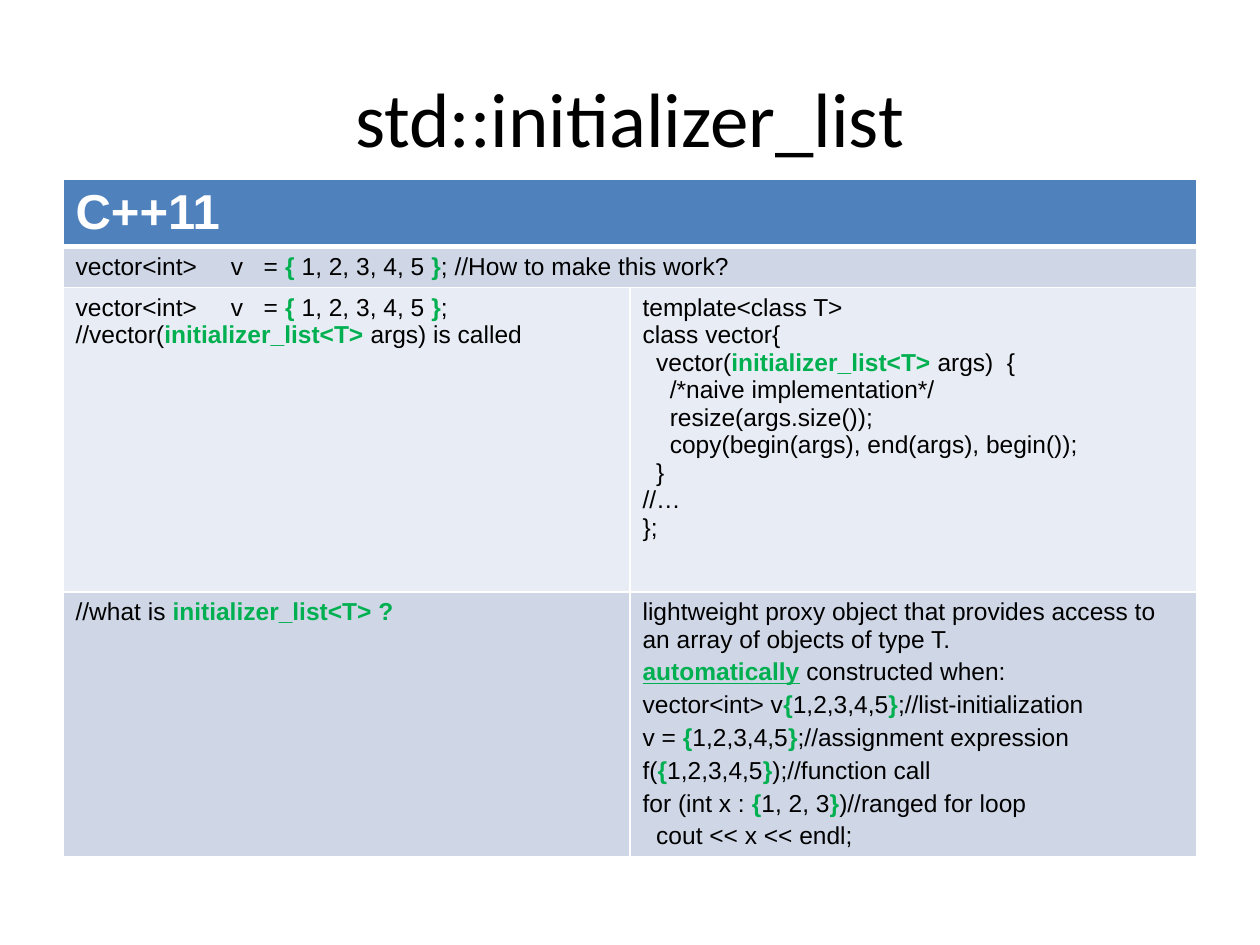
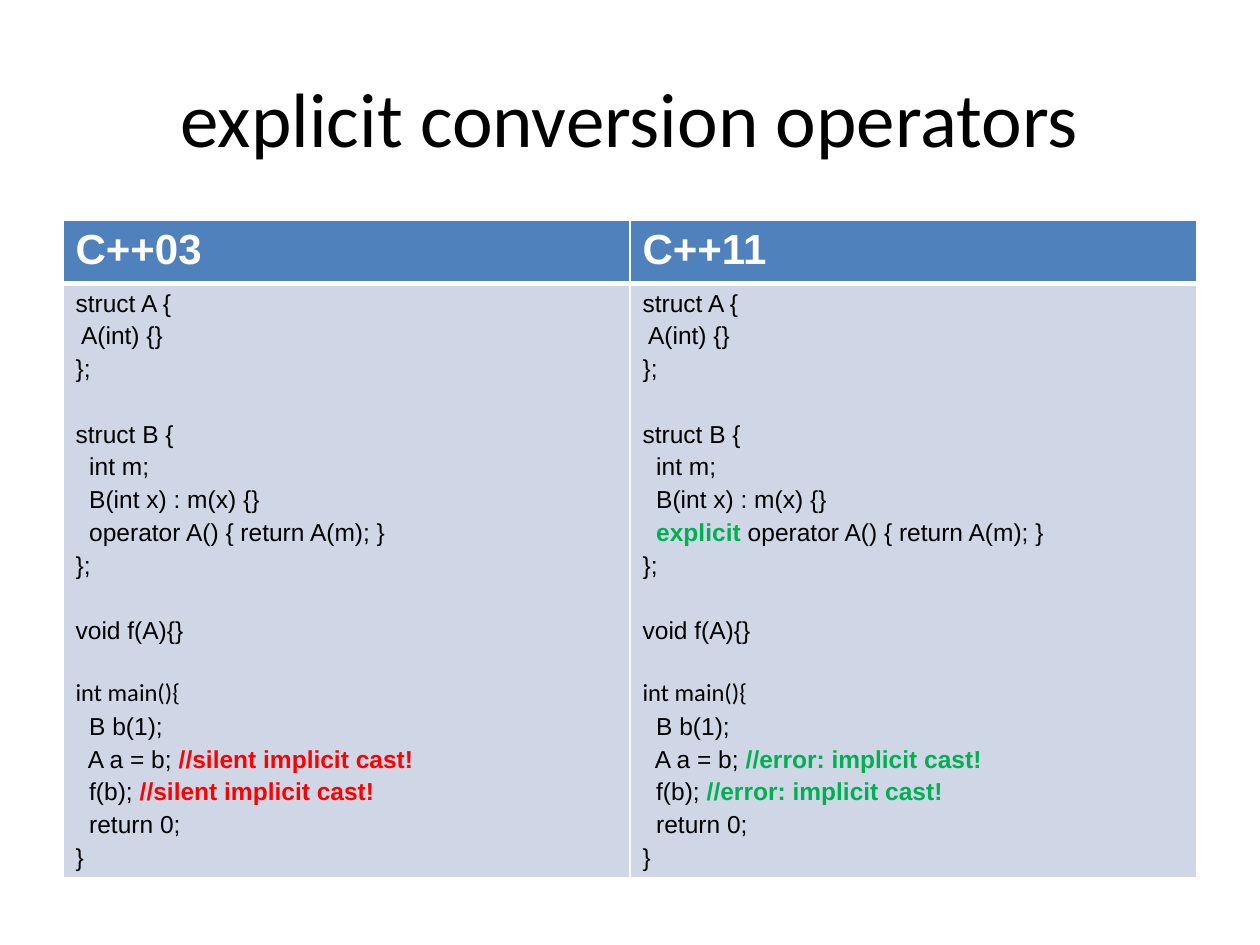
from dataclasses import dataclass

from lxml.etree import SubElement
from pptx import Presentation
from pptx.dml.color import RGBColor
from pptx.enum.text import MSO_ANCHOR as Anchor, PP_ALIGN as Align
from pptx.oxml.ns import qn
from pptx.util import Pt

# Shared style
BLACK = RGBColor(0x00, 0x00, 0x00)
WHITE = RGBColor(0xFF, 0xFF, 0xFF)
GREEN = RGBColor(0x00, 0xB0, 0x50)
RED = RGBColor(0xFF, 0x00, 0x00)
HEADER = RGBColor(0x4F, 0x81, 0xBD)
DARK_BAND = RGBColor(0xCF, 0xD7, 0xE7)
LIGHT_BAND = RGBColor(0xE8, 0xEC, 0xF4)
TITLE_FONT, CODE_FONT = "Calibri", "Arial"
CODE_SIZE = 14
LINE_HEIGHT = 15.7
LIST_GAP = 3
LEFT, WIDTH = 36, 648
TITLE_TOP, TITLE_HEIGHT = 21.6, 90


@dataclass
class Span:
    text: str
    color: RGBColor = BLACK
    bold: bool = False
    underline: bool = False
    font: str = CODE_FONT
    size: float = CODE_SIZE


def key(text, color=GREEN, underline=False):
    return Span(text, color, True, underline)


def header(text, size):
    return [[Span(text, WHITE, True, size=size)]]


def braced(before, values, after):
    return [before, key("{"), values, key("}"), after]


class Deck:
    def __init__(self):
        self.show = Presentation()
        self.show.slide_width, self.show.slide_height = Pt(720), Pt(540)
        self.page = None

    def add_page(self, title):
        self.page = self.show.slides.add_slide(self.show.slide_layouts[5])
        box = self.page.shapes.title
        box.left, box.top = Pt(LEFT), Pt(TITLE_TOP)
        box.width, box.height = Pt(WIDTH), Pt(TITLE_HEIGHT)
        frame = box.text_frame
        frame.text = title
        frame.vertical_anchor = Anchor.MIDDLE
        para = frame.paragraphs[0]
        para.alignment = Align.CENTER
        self.style_run(para.runs[0], Span(title, font=TITLE_FONT, size=44))

    def style_run(self, run, span):
        font = run.font
        font.name, font.size = span.font, Pt(span.size)
        font.bold, font.underline = span.bold, span.underline
        font.color.rgb = span.color

    def add_table(self, top, row_heights):
        columns = 2
        frame = self.page.shapes.add_table(
            len(row_heights), columns, Pt(LEFT), Pt(top), Pt(WIDTH), Pt(sum(row_heights)))
        table = frame.table
        for column in table.columns:
            column.width = Pt(WIDTH / columns)
        for index, height in enumerate(row_heights):
            table.rows[index].height = Pt(height)
            if index == 0:
                fill = HEADER
            else:
                fill = DARK_BAND if index % 2 else LIGHT_BAND
            for cell in table.rows[index].cells:
                self.add_borders(cell, top=3 if index == 1 else 1, bottom=3 if index == 0 else 1)
                cell.fill.solid()
                cell.fill.fore_color.rgb = fill
        return table

    def add_borders(self, cell, top, bottom):
        props = cell._tc.get_or_add_tcPr()
        for side, width in (("L", 1), ("R", 1), ("T", top), ("B", bottom)):
            line = SubElement(props, qn(f"a:ln{side}"), w=str(Pt(width)))
            SubElement(SubElement(line, qn("a:solidFill")), qn("a:srgbClr"), val=str(WHITE))

    def fill_cell(self, cell, lines, gap=0):
        """Fill a cell; an empty line becomes space before the next one."""
        frame = cell.text_frame
        frame.word_wrap = True
        para, skipped = None, 0
        for line in lines:
            if not line:
                skipped += LINE_HEIGHT + gap
                continue
            spans = [Span(part) if isinstance(part, str) else part for part in line]
            if para is None:
                para = frame.paragraphs[0]
            else:
                para = frame.add_paragraph()
                own_gap = gap if spans[0].font == CODE_FONT else 0
                para.space_before = Pt(skipped + own_gap)
            skipped = 0
            for span in spans:
                run = para.add_run()
                run.text = span.text
                self.style_run(run, span)

    def save(self):
        self.show.save("out.pptx")


def initializer_list_page(deck):
    deck.add_page("std::initializer_list")
    table = deck.add_table(102.4, [37.5, 23.5, 174, 150])
    for row in (0, 1):
        table.cell(row, 0).merge(table.cell(row, 1))
    declaration = ("vector<int>     v   = ", " 1, 2, 3, 4, 5 ")
    list_type = key("initializer_list<T>")

    # Question and the constructor that answers it
    deck.fill_cell(table.cell(0, 0), header("C++11", 28))
    deck.fill_cell(table.cell(1, 0), [braced(*declaration, "; //How to make this work?")])
    deck.fill_cell(table.cell(2, 0), [
        braced(*declaration, "; //vector(") + [list_type, " args) is called"]])
    deck.fill_cell(table.cell(2, 1), [
        ["template<class T>"],
        ["class vector{"],
        ["  vector(", list_type, " args)  {"],
        ["    /*naive implementation*/"],
        ["    resize(args.size());"],
        ["    copy(begin(args), end(args), begin());"],
        ["  }"],
        ["//…"],
        ["};"],
    ])

    # Definition and uses
    deck.fill_cell(table.cell(3, 0), [["//what is ", key("initializer_list<T> ?")]])
    values = "1,2,3,4,5"
    deck.fill_cell(table.cell(3, 1), [
        ["lightweight proxy object that provides access to an array of objects of type T."],
        [key("automatically", underline=True), " constructed when:"],
        braced("vector<int> v", values, ";//list-initialization"),
        braced("v = ", values, ";//assignment expression"),
        braced("f(", values, ");//function call"),
        braced("for (int x : ", "1, 2, 3", ")//ranged for loop"),
        ["  cout << x << endl;"],
    ], LIST_GAP)


def conversion_code(operator_line, note):
    return [
        ["struct A {"],
        [" A(int) {}"],
        ["};"],
        [],
        ["struct B {"],
        ["  int m;"],
        ["  B(int x) : m(x) {}"],
        operator_line,
        ["};"],
        [],
        ["void f(A){}"],
        [],
        [Span("int main(){", font=TITLE_FONT)],
        ["  B b(1);"],
        ["  A a = b; ", note],
        ["  f(b); ", note],
        ["  return 0;"],
        ["}"],
    ]


def conversion_page(deck):
    deck.add_page("explicit conversion operators")
    table = deck.add_table(126, [36, 338])
    cast = "operator A() { return A(m); }"
    versions = [
        ("C++03", ["  " + cast], key("//silent implicit cast!", RED)),
        ("C++11", ["  ", key("explicit"), " " + cast], key("//error: implicit cast!")),
    ]
    for column, (name, operator_line, note) in enumerate(versions):
        deck.fill_cell(table.cell(0, column), header(name, 24))
        deck.fill_cell(table.cell(1, column), conversion_code(operator_line, note), LIST_GAP)


def main():
    deck = Deck()
    initializer_list_page(deck)
    conversion_page(deck)
    deck.save()


if __name__ == "__main__":
    main()
